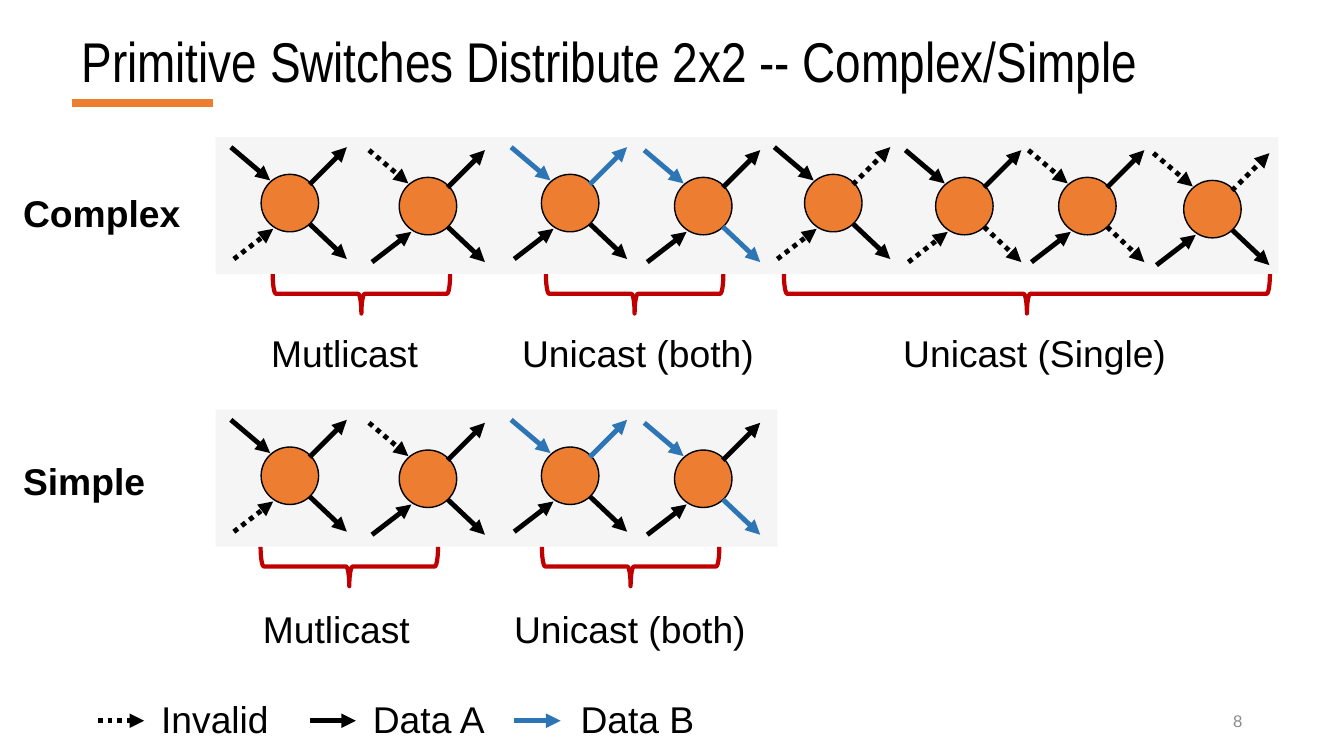
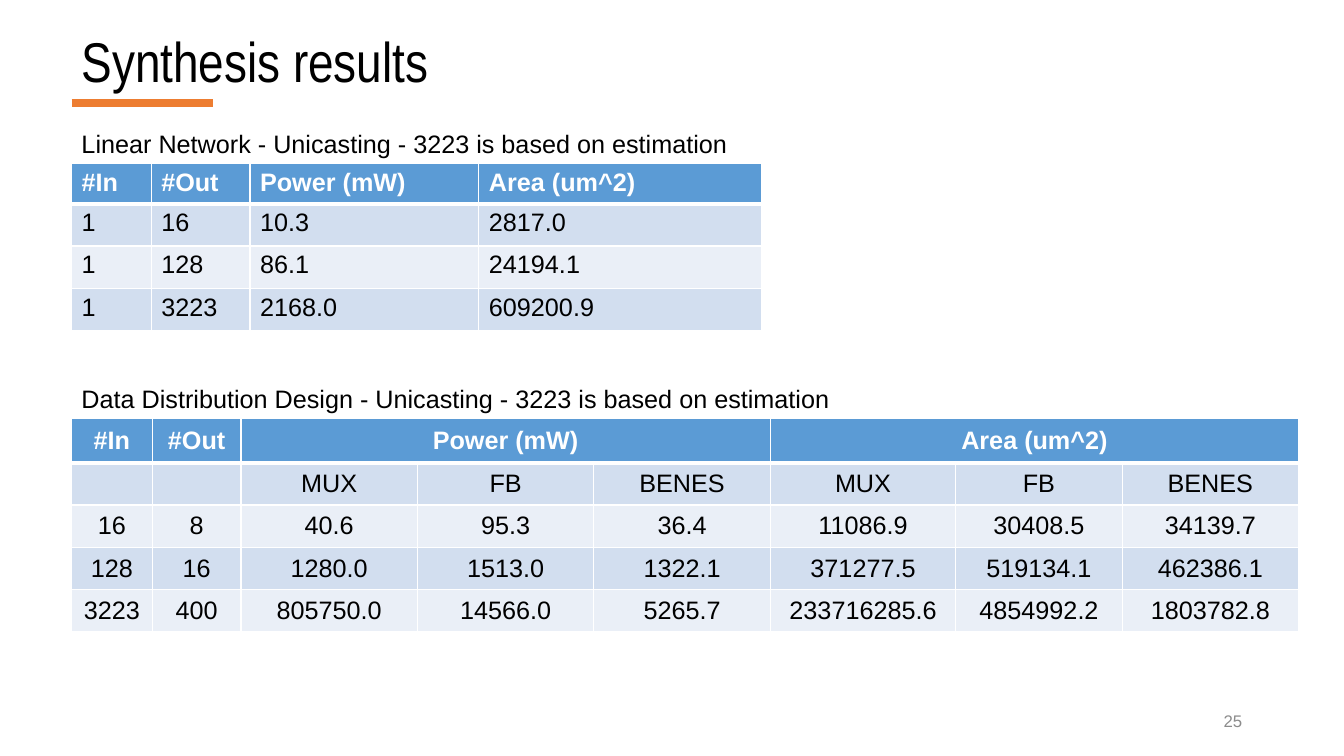
from itertools import product

from pptx import Presentation
from pptx.dml.color import RGBColor
from pptx.enum.dml import MSO_LINE
from pptx.enum.shapes import MSO_CONNECTOR, MSO_SHAPE
from pptx.enum.text import MSO_ANCHOR, PP_ALIGN
from pptx.oxml.ns import qn
from pptx.util import Inches, Pt
from lxml.etree import SubElement

BLACK, WHITE, GREY, PANEL = "000000", "FFFFFF", "8C8C8C", "F5F5F5"
ORANGE, BLUE, RED = "ED7D31", "2E75B6", "C00000"
HEADER, BANDS = "5B9BD5", ("D2DEEF", "EAEFF7")
FONT, TITLE_FONT = "Arial", "Arial Narrow"
LABEL = 26.6
ROWS = 75
SIGNALS = {"A": (BLACK, False), "B": (BLUE, False), "X": (BLACK, True)}
SWITCH_ARROWS = (
    (-3, -2.7, 0.9, 0.6),
    (-2.7, 8.4, 1.2, 5.4),
    (4.8, 1, 8.5, -2.7),
    (4.8, 4.9, 8.5, 8.4),
)


def rgb(value):
    """Turn a hex string into a colour."""
    return RGBColor.from_string(value)


class Deck:
    """Hold the style, the square grid and the current slide."""

    def __init__(self):
        """Start a wide presentation with a grid of 75 rows."""
        self.prs = Presentation()
        self.prs.slide_width, self.prs.slide_height = Inches(13.33), Inches(7.5)
        self.cell = self.prs.slide_height / ROWS
        self.s = None

    def grid(self, *lengths):
        """Turn grid cells into slide lengths."""
        return [round(n * self.cell) for n in lengths]

    def slide(self, title, number):
        """Add a slide with its title, accent bar and page number."""
        self.s = self.prs.slides.add_slide(self.prs.slide_layouts[6])
        self.line(7.1, 10.2, 21.1, 10.2, ORANGE, 5.75)
        p = self.text(7.1, 2.6, 124.2, 7.6, title, 40, font=TITLE_FONT,
                      anchor=MSO_ANCHOR.MIDDLE)
        p.line_spacing = 0.9
        self.text(94.2, 69.5, 30, 4, number, 12, GREY, align=PP_ALIGN.RIGHT,
                  anchor=MSO_ANCHOR.MIDDLE)

    def style(self, p, size, color=BLACK, bold=False, font=FONT, align=None):
        """Set the font and alignment of a paragraph."""
        p.font.name, p.font.size, p.font.bold = font, Pt(size), bold
        p.font.color.rgb = rgb(color)
        p.alignment = align

    def text(self, x, y, w, h, words, size=LABEL, color=BLACK, bold=False,
             font=FONT, align=None, anchor=MSO_ANCHOR.TOP):
        """Add a text box and return its paragraph."""
        tf = self.s.shapes.add_textbox(*self.grid(x, y, w, h)).text_frame
        tf.word_wrap, tf.vertical_anchor = True, anchor
        p = tf.paragraphs[0]
        p.text = words
        self.style(p, size, color, bold, font, align)
        return p

    def line(self, x1, y1, x2, y2, color=BLACK, width=3.5, dotted=False, arrow=False):
        """Add a straight line, dotted or with an arrowhead on request."""
        c = self.s.shapes.add_connector(MSO_CONNECTOR.STRAIGHT, *self.grid(x1, y1, x2, y2))
        c.line.color.rgb, c.line.width = rgb(color), Pt(width)
        if dotted:
            c.line.dash_style = MSO_LINE.ROUND_DOT
        if arrow:
            SubElement(c.line._get_or_add_ln(), qn("a:tailEnd"), type="triangle")
        SubElement(c._element.spPr, qn("a:effectLst"))

    def signal(self, kind, x1, y1, x2, y2):
        """Add the arrow of one kind of signal."""
        color, dotted = SIGNALS[kind]
        self.line(x1, y1, x2, y2, color, dotted=dotted, arrow=True)

    def shape(self, kind, x, y, w, h, fill=None, outline=None, width=1):
        """Add a preset shape and return it."""
        sp = self.s.shapes.add_shape(kind, *self.grid(x, y, w, h))
        sp.shadow.inherit = False
        if fill:
            sp.fill.solid()
            sp.fill.fore_color.rgb = rgb(fill)
        else:
            sp.fill.background()
        if outline:
            sp.line.color.rgb, sp.line.width = rgb(outline), Pt(width)
        else:
            sp.line.fill.background()
        return sp

    def switch(self, x, y, kinds):
        """Add a switch with two inputs on the left and two outputs on the right."""
        self.shape(MSO_SHAPE.OVAL, x, y, 5.7, 5.7, ORANGE, BLACK)
        for kind, (x1, y1, x2, y2) in zip(kinds, SWITCH_ARROWS):
            self.signal(kind, x + x1, y + y1, x + x2, y + y2)

    def brace(self, x, y, w, h=3.9):
        """Add a brace that opens upwards across the given width."""
        sp = self.shape(MSO_SHAPE.LEFT_BRACE, x + (w - h) / 2, y + (h - w) / 2, h, w,
                        outline=RED, width=3)
        sp.rotation = 270

    def switch_row(self, top, width, name, name_top, switches, groups, group_top):
        """Add a panel of switches with its name and braced groups."""
        self.shape(MSO_SHAPE.RECTANGLE, 21.4, top, width, 13.6, PANEL)
        self.text(1.3, name_top, 18.5, 5.7, name, bold=True)
        for x, drop, kinds in switches:
            self.switch(x, top + drop, kinds)
        for x, w, label, label_x, label_w in groups:
            self.brace(x, top + 13.6, w)
            self.text(label_x, group_top, label_w, 5.7, label)

    def border(self, cell, widths):
        """Draw white borders on the left, right, top and bottom of a cell."""
        for side, width in zip("LRTB", widths):
            ln = SubElement(cell._tc.get_or_add_tcPr(), qn(f"a:ln{side}"), w=str(Pt(width)))
            SubElement(SubElement(ln, qn("a:solidFill")), qn("a:srgbClr"), val=WHITE)

    def table(self, y, caption, widths, header_height, rows, spans=(), centred=False):
        """Add a captioned table with a header row and banded body rows."""
        self.text(7.1, y - 4, 82.5, 4, caption, 18)
        heights = [header_height] + [4.2] * (len(rows) - 1)
        t = self.s.shapes.add_table(len(rows), len(widths), *self.grid(
            7.1, y, sum(widths), sum(heights))).table
        for column, width in zip(t.columns, self.grid(*widths)):
            column.width = width
        for row, height in zip(t.rows, self.grid(*heights)):
            row.height = height
        for i, j in product(range(len(rows)), range(len(widths))):
            head = i == 0
            cell = t.cell(i, j)
            self.border(cell, (1, 1, 3 if i == 1 else 1, 3 if head else 1))
            cell.fill.solid()
            cell.fill.fore_color.rgb = rgb(HEADER if head else BANDS[(i - 1) % 2])
            p = cell.text_frame.paragraphs[0]
            p.text = rows[i][j]
            self.style(p, 18, WHITE if head else BLACK, head,
                       align=PP_ALIGN.CENTER if centred else None)
            if centred:
                cell.vertical_anchor = MSO_ANCHOR.MIDDLE
        for first, last in spans:
            t.cell(0, first).merge(t.cell(0, last))


def switches_slide(deck):
    """Build the slide of complex and simple switches."""
    deck.slide("Primitive Switches Distribute 2x2 -- Complex/Simple", "8")
    simple = [(25.9, 3.7, "AXAA"), (39.6, 4, "XAAA"), (53.7, 3.7, "BABA"), (66.9, 4, "BAAB")]
    single = [(79.8, 3.7, "AXXA"), (92.8, 4, "AXAX"), (105, 4, "XAAX"), (117.4, 4.3, "XAXA")]
    deck.switch_row(13.6, 105.4, "Complex", 18.4, simple + single, [
        (27.05, 17.6, "Mutlicast", 25.9, 18.4),
        (54.15, 17.6, "Unicast (both)", 50.8, 26),
        (77.75, 48.2, "Unicast (Single)", 88.6, 29.7)], 32.3)
    deck.switch_row(40.65, 55.7, "Simple", 45, simple, [
        (25.85, 17.6, "Mutlicast", 25.1, 18.4),
        (53.75, 17.6, "Unicast (both)", 50, 26)], 59.7)
    for kind, x, label, label_x in (("X", 9.7, "Invalid", 15), ("A", 30.7, "Data A", 36),
                                    ("B", 51, "Data B", 56.6)):
        deck.signal(kind, x, 71.5, x + 4.6, 71.5)
        deck.text(label_x, 68.6, 14.7, 5.7, label)


def results_slide(deck):
    """Build the slide of the two result tables."""
    deck.slide("Synthesis results", "25")
    deck.table(16.2, "Linear Network - Unicasting - 3223 is based on estimation",
               (7.9, 9.8, 22.7, 28), 4, [
                   ("#In", "#Out", "Power (mW)", "Area (um^2)"),
                   ("1", "16", "10.3", "2817.0"),
                   ("1", "128", "86.1", "24194.1"),
                   ("1", "3223", "2168.0", "609200.9")])
    designs = ("MUX", "FB", "BENES")
    deck.table(41.5, "Data Distribution Design - Unicasting - 3223 is based on estimation",
               (8, 8.8, 17.5, 17.5, 17.5, 18.4, 16.5, 17.5), 4.4, [
                   ("#In", "#Out", "Power (mW)", "", "", "Area (um^2)", "", ""),
                   ("", "", *designs, *designs),
                   ("16", "8", "40.6", "95.3", "36.4", "11086.9", "30408.5", "34139.7"),
                   ("128", "16", "1280.0", "1513.0", "1322.1",
                    "371277.5", "519134.1", "462386.1"),
                   ("3223", "400", "805750.0", "14566.0", "5265.7",
                    "233716285.6", "4854992.2", "1803782.8")],
               spans=((2, 4), (5, 7)), centred=True)


def main():
    """Build and save the presentation."""
    deck = Deck()
    switches_slide(deck)
    results_slide(deck)
    deck.prs.save("out.pptx")


if __name__ == "__main__":
    main()
